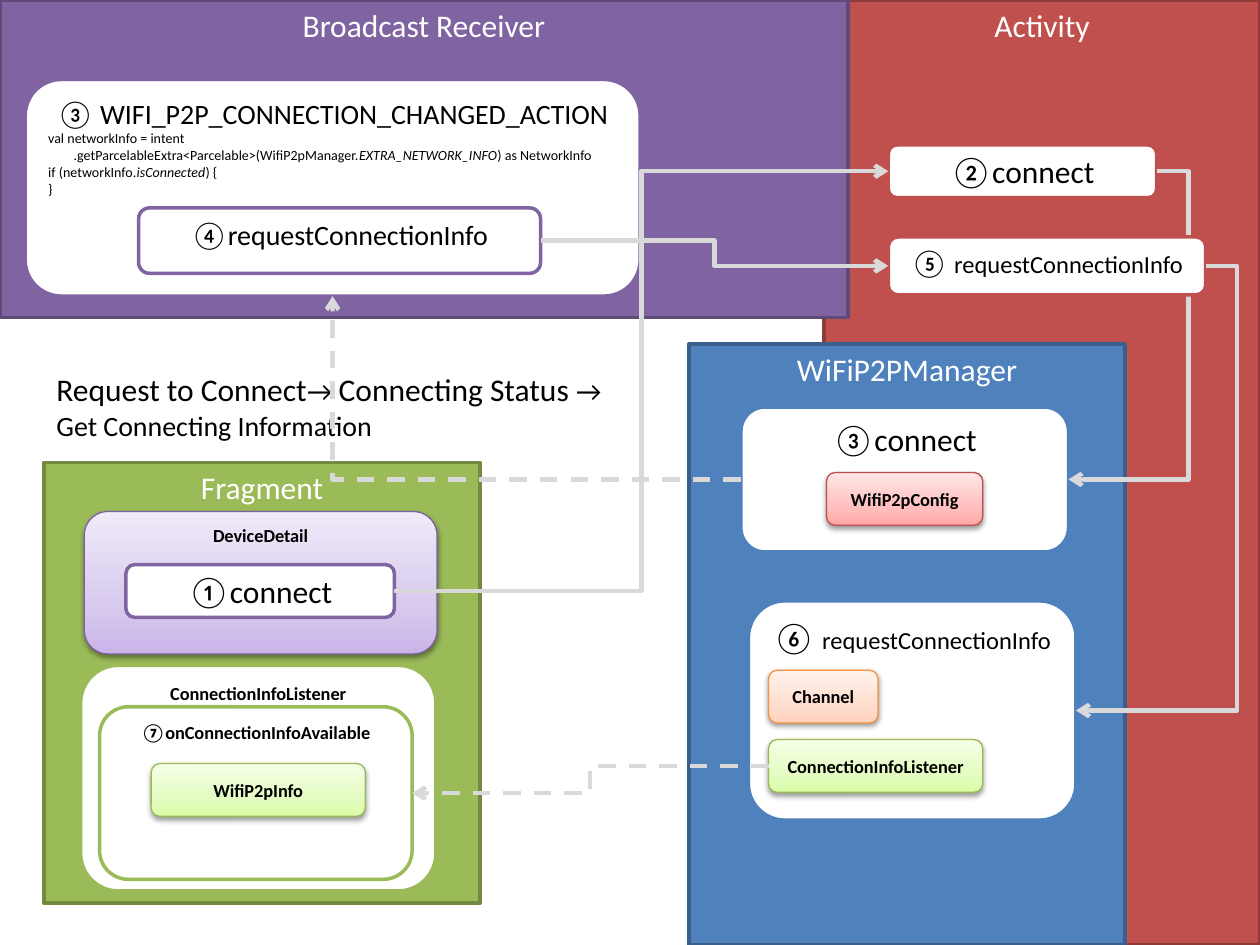
import copy
from dataclasses import dataclass

import lxml.etree
import pptx
import pptx.dml.color
import pptx.enum.dml
import pptx.enum.shapes
import pptx.enum.text
import pptx.oxml.ns
import pptx.util

Pt = pptx.util.Pt
RGB = pptx.dml.color.RGBColor.from_string
qn = pptx.oxml.ns.qn
SHAPE = pptx.enum.shapes.MSO_SHAPE
TOP = pptx.enum.text.MSO_ANCHOR.TOP
MIDDLE = pptx.enum.text.MSO_ANCHOR.MIDDLE
UPPER, LEFT, LOWER, RIGHT = range(4)


@dataclass(frozen=True)
class Theme:
    font: str = "Calibri"
    white: str = "FFFFFF"
    black: str = "000000"
    arrow: str = "D9D9D9"
    # panel colour and its outline
    red: tuple = ("C0504D", "8E3B39")
    purple: tuple = ("8064A2", "5F4A78")
    green: tuple = ("9BBB59", "738A42")
    blue: tuple = ("4F81BD", "3A5F8C")
    # three gradient stops and the outline
    rose: tuple = ("FFA6A5", "FFC0BF", "FFE7E7", "BF4C48")
    lime: tuple = ("DAFDA7", "E4FCC2", "F5FFE7", "98B955")
    peach: tuple = ("FFD2BD", "FFDED0", "FFF2ED", "F69240")
    lilac: tuple = ("C9B5E8", "D8CBEE", "F0EAF9", "7D60A0")
    title: float = 18
    step: float = 16
    call: float = 14
    label: float = 10.5
    code: float = 8


theme = Theme()
deck = pptx.Presentation()
deck.slide_width, deck.slide_height = Pt(720), Pt(540)
slide = deck.slides.add_slide(deck.slide_layouts[6])


def box(place, colours, runs, anchor=TOP, kind=SHAPE.ROUNDED_RECTANGLE):
    """Draw a labelled box; four colours make a shaded one with a shadow."""
    shape = slide.shapes.add_shape(kind, *map(Pt, place))
    shape.shadow.inherit = False
    *fills, outline = colours
    shaded = len(fills) == 3
    shape.line.color.rgb = RGB(outline)
    shape.line.width = Pt(0.75 if shaded else 2)
    if shaded:
        shape.fill.gradient()
        shape.fill.gradient_angle = 90
        properties = shape._element.spPr
        stops = properties.find(".//" + qn("a:gsLst"))
        stops.insert(1, copy.deepcopy(stops[0]))
        for stop, position, colour in zip(shape.fill.gradient_stops, (0, 0.35, 1), fills):
            stop.position = position
            stop.color.rgb = RGB(colour)
        effects = properties.find(qn("a:effectLst"))
        shadow = lxml.etree.SubElement(effects, qn("a:outerShdw"), blurRad=str(Pt(3.1)),
                                       dist=str(Pt(1.6)), dir="5400000", rotWithShape="0")
        black = lxml.etree.SubElement(shadow, qn("a:srgbClr"), val=theme.black)
        lxml.etree.SubElement(black, qn("a:alpha"), val="38000")
    else:
        shape.fill.solid()
        shape.fill.fore_color.rgb = RGB(fills[0])
    frame = shape.text_frame
    frame.word_wrap = True
    frame.vertical_anchor = anchor
    heading = frame.paragraphs[0]
    heading.alignment = pptx.enum.text.PP_ALIGN.CENTER
    for text, size in runs:
        run = heading.add_run()
        run.text = text
        run.font.name, run.font.size = theme.font, Pt(size)
        run.font.bold = size == theme.label
        is_panel = kind == SHAPE.RECTANGLE
        run.font.color.rgb = RGB(theme.white if is_panel else theme.black)
    return shape


def arrow(source, source_side, target, target_side, bend=0.5, dashed=False):
    """Join two boxes with an elbow arrow; bend None gives a single corner."""
    line = slide.shapes.add_connector(pptx.enum.shapes.MSO_CONNECTOR.ELBOW, 0, 0, 0, 0)
    line.begin_connect(source, source_side)
    line.end_connect(target, target_side)
    line.line.color.rgb = RGB(theme.arrow)
    line.line.width = Pt(2.5)
    if dashed:
        line.line.dash_style = pptx.enum.dml.MSO_LINE.DASH
    properties = line._element.spPr
    lxml.etree.SubElement(properties.find(qn("a:ln")), qn("a:tailEnd"), type="arrow")
    lxml.etree.SubElement(properties, qn("a:effectLst"))
    geometry = properties.find(qn("a:prstGeom"))
    if bend is None:
        geometry.set("prst", "bentConnector2")
    else:
        guides = geometry.find(qn("a:avLst"))
        lxml.etree.SubElement(guides, qn("a:gd"), name="adj1", fmla=f"val {round(bend * 100000)}")


# Panels
for place, colours, name in (
    ((471, 0, 249, 540), theme.red, "Activity"),
    ((0, 0, 484.6, 181.4), theme.purple, "Broadcast Receiver"),
    ((25.2, 264.2, 249.1, 252), theme.green, "Fragment"),
    ((393.8, 196.6, 249.1, 343.4), theme.blue, "WiFiP2PManager"),
):
    box(place, colours, [(name, theme.title)], kind=SHAPE.RECTANGLE)

on_red, on_purple, on_green, on_blue = (
    (theme.white, panel[0]) for panel in (theme.red, theme.purple, theme.green, theme.blue))

# Connect request passed from the activity to the manager
activity_connect = box((507.6, 82.8, 153.4, 30.2), on_red, [("②connect", theme.title)], MIDDLE)
manager_connect = box((423.4, 232.6, 187.2, 82.8), on_blue, [("③connect", theme.title)])
arrow(activity_connect, RIGHT, manager_connect, RIGHT, bend=-0.36)
box((472.3, 270, 89.3, 30.2), theme.rose, [("WifiP2pConfig", theme.label)], MIDDLE)

# Broadcast action and its code
action = box((14.4, 45.4, 351.4, 123.8), on_purple,
             [("③ WIFI_P2P_CONNECTION_CHANGED_ACTION", theme.step)])
for indent, pieces in (
    (0, ["val networkInfo = intent"]),
    (14.5, [".getParcelableExtra<Parcelable>(WifiP2pManager.", "EXTRA_NETWORK_INFO",
            ") as NetworkInfo"]),
    (0, ["if (networkInfo.", "isConnected", ") {"]),
    (0, ["}"]),
):
    code = action.text_frame.add_paragraph()
    code.alignment = pptx.enum.text.PP_ALIGN.LEFT
    code._p.get_or_add_pPr().set("marL", str(Pt(indent)))
    for index, piece in enumerate(pieces):
        run = code.add_run()
        run.text = piece
        run.font.name, run.font.size = theme.font, Pt(theme.code)
        run.font.color.rgb = RGB(theme.black)
        run.font.italic = index == 1

# Information request passed from the receiver to the activity
receiver_request = box((79.2, 118.8, 229.7, 37.4), on_purple,
                       [("④requestConnectionInfo", theme.step)])
activity_request = box((507.6, 135.4, 181.4, 33.1), on_red,
                       [("⑤ ", theme.step), ("requestConnectionInfo", theme.call)])
arrow(receiver_request, RIGHT, activity_request, LEFT)

# Information request in the manager
manager_request = box((427.7, 343.4, 187.2, 125.3), on_blue,
                      [("⑥ ", theme.title), ("requestConnectionInfo", theme.call)])
listener = box((439.2, 422.6, 122.4, 30.2), theme.lime,
               [("ConnectionInfoListener", theme.label)], MIDDLE)
box((439.2, 383, 62.6, 30.2), theme.peach, [("Channel", theme.label)], MIDDLE)

# Device detail, where the flow starts
box((48.2, 292.3, 201.6, 81.4), theme.lilac, [("DeviceDetail", theme.label)])
detail_connect = box((72, 322.6, 153.4, 30.2), on_purple, [("①connect", theme.title)], MIDDLE)
arrow(detail_connect, RIGHT, activity_connect, LEFT)

# Summary of the flow
summary = slide.shapes.add_textbox(Pt(25.2), Pt(208.1), Pt(329), Pt(48.2)).text_frame
summary.word_wrap = True
for text, size in (
    ("Request to Connect", theme.title),
    ("→ ", theme.step),
    ("Connecting Status ", theme.title),
    ("→ Get Connecting Information", theme.step),
):
    run = summary.paragraphs[0].add_run()
    run.text = text
    run.font.name, run.font.size = theme.font, Pt(size)
    run.font.color.rgb = RGB(theme.black)

arrow(manager_connect, LEFT, action, LOWER, bend=None, dashed=True)
arrow(activity_request, RIGHT, manager_request, RIGHT, bend=-0.24)

# Listener that receives the answer
box((46.1, 380.2, 203, 128.9), on_green, [("ConnectionInfoListener", theme.label)])
available = box((56.9, 403.9, 178.6, 98.6), on_green,
                [("⑦onConnectionInfoAvailable", theme.label)])
arrow(listener, LEFT, available, RIGHT, dashed=True)
box((86.4, 436.3, 122.4, 30.2), theme.lime, [("WifiP2pInfo", theme.label)], MIDDLE)

deck.save("out.pptx")
